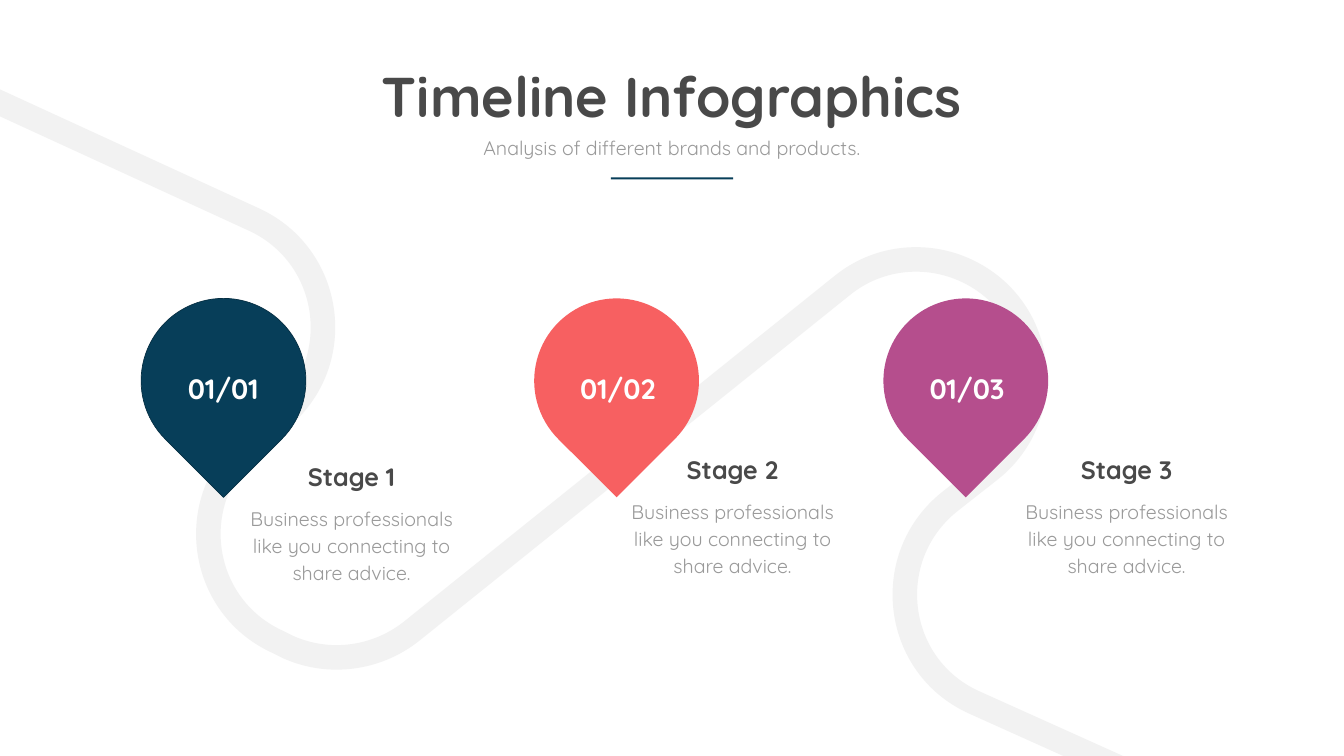
from dataclasses import dataclass
from math import cos, radians, sin

from lxml.etree import Element
from pptx import Presentation
from pptx.dml.color import RGBColor
from pptx.enum.shapes import MSO_SHAPE as Preset
from pptx.enum.text import MSO_ANCHOR as Anchor, MSO_AUTO_SIZE as AutoSize, PP_ALIGN as Align
from pptx.oxml.ns import qn
from pptx.util import Inches, Pt

FONT = "Quicksand"
NAVY, NAVY_EDGE, CORAL, PURPLE = "073E59", "052E42", "F76061", "B54E8D"
DARK, GREY, ROAD_GREY, WHITE = "494949", "999999", "F2F2F2", "FFFFFF"
PIN_TOP, PIN_SIZE, NUMBER_TOP = 5.92, 3.27, 7.33
ADVICE = "Business professionals like you connecting to share advice."

Point = tuple[float, float]


@dataclass(frozen=True)
class Stage:
    number: str
    heading: str
    fill: str
    pin_left: float
    number_left: float
    heading_left: float
    heading_top: float
    edge: str | None = None


STAGES = [
    Stage("01/03", "Stage 3", PURPLE, 17.53, 17.84, 19.91, 8.97),
    Stage("01/01", "Stage 1", NAVY, 2.8, 3.08, 4.53, 9.1, NAVY_EDGE),
    Stage("01/02", "Stage 2", CORAL, 10.6, 10.91, 12.09, 8.97),
]

# The road mixes straight runs (one point) and Bézier bends (three points).
ROAD_TILT = -7
ROAD_CENTER = (18.0, 9.33)
ROAD_START = (36.25, 16.73)
ROAD = [
    [(30.65, 13.87)],
    [(29.82, 13.44), (28.81, 13.55), (28.09, 14.14)],
    [(26.29, 15.63)],
    [(25.6, 16.2), (24.65, 16.32), (23.83, 15.96)],
    [(19.34, 13.94)],
    [(17.73, 13.22), (17.47, 11.05), (18.85, 9.95)],
    [(19.64, 9.33)],
    [(21.01, 8.25), (20.76, 6.11), (19.18, 5.37)],
    [(18.37, 4.99), (17.41, 5.1), (16.72, 5.66)],
    [(8.16, 12.53)],
    [(7.46, 13.08), (6.51, 13.2), (5.7, 12.83)],
    [(5.5, 12.73)],
    [(3.94, 12.01), (3.66, 9.92), (4.96, 8.81)],
    [(5.58, 8.28)],
    [(6.89, 7.17), (6.6, 5.08), (5.05, 4.36)],
    [(-0.24, 1.93)],
]


def color(hex_code: str) -> RGBColor:
    return RGBColor.from_string(hex_code)


def untilt(point: Point) -> tuple[int, int]:
    """Turn a point back by the road's tilt, so that its rotation restores it."""
    angle = radians(-ROAD_TILT)
    dx, dy = point[0] - ROAD_CENTER[0], point[1] - ROAD_CENTER[1]
    return (Inches(ROAD_CENTER[0] + dx * cos(angle) - dy * sin(angle)),
            Inches(ROAD_CENTER[1] + dx * sin(angle) + dy * cos(angle)))


def round_bends(road) -> None:
    """Merge the three segments of each bend into one Bézier curve."""
    segments = iter(list(road.element.iter(qn("a:lnTo"))))
    for part in ROAD:
        steps = [next(segments) for _ in part]
        if len(steps) == 3:
            curve = Element(qn("a:cubicBezTo"))
            steps[0].addprevious(curve)
            for step in steps:
                curve.append(step[0])
                step.getparent().remove(step)


def draw_road(slide) -> None:
    builder = slide.shapes.build_freeform(*untilt(ROAD_START))
    builder.add_line_segments([untilt(point) for part in ROAD for point in part], close=False)
    road = builder.convert_to_shape()
    round_bends(road)
    road.rotation = ROAD_TILT
    road.shadow.inherit = False
    road.fill.background()
    road.line.color.rgb = color(ROAD_GREY)
    road.line.width = Pt(35)


def write(frame, text: str, size: float, text_color: str, bold: bool = False,
          spacing: float | Pt | None = None) -> None:
    """Fill a text frame with one centred paragraph."""
    frame.vertical_anchor = Anchor.TOP
    paragraph = frame.paragraphs[0]
    paragraph.text = text
    paragraph.alignment = Align.CENTER
    paragraph.line_spacing = spacing
    font = paragraph.font
    font.name, font.size, font.bold = FONT, Pt(size), bold
    font.color.rgb = color(text_color)


def add_text(slide, left: float, top: float, width: float, height: float,
             text: str, size: float, text_color: str, bold: bool = False,
             spacing: float | Pt | None = None, inset: bool = True) -> None:
    frame = slide.shapes.add_textbox(*map(Inches, (left, top, width, height))).text_frame
    frame.word_wrap = True
    if inset:
        frame.auto_size = AutoSize.SHAPE_TO_FIT_TEXT
    else:
        frame.margin_left = frame.margin_top = frame.margin_right = frame.margin_bottom = 0
    write(frame, text, size, text_color, bold, spacing)


def add_solid(slide, preset: Preset, left: float, top: float, width: float,
              height: float, fill: str, edge: str | None = None):
    shape = slide.shapes.add_shape(preset, *map(Inches, (left, top, width, height)))
    shape.shadow.inherit = False
    shape.fill.solid()
    shape.fill.fore_color.rgb = color(fill)
    if edge:
        shape.line.color.rgb = color(edge)
        shape.line.width = Pt(1)
    else:
        shape.line.fill.background()
    return shape


def draw_header(slide) -> None:
    title = slide.shapes.title
    title.left, title.top, title.width, title.height = map(Inches, (7.47, 1.17, 11.72, 1.45))
    title.text_frame.word_wrap = False
    title.text_frame.auto_size = AutoSize.SHAPE_TO_FIT_TEXT
    write(title.text_frame, "Timeline Infographics", 80, DARK, bold=True)
    add_text(slide, 8.55, 2.65, 9.56, 0.57,
             "Analysis of different brands and products.", 28, GREY)
    add_solid(slide, Preset.RECTANGLE, 12.12, 3.52, 2.43, 0.04, NAVY)


def draw_stage(slide, stage: Stage) -> None:
    add_text(slide, stage.heading_left + 0.09, stage.heading_top + 0.83, 4.71, 1.72,
             ADVICE, 28, GREY, spacing=Pt(38.6))
    add_text(slide, stage.heading_left, stage.heading_top, 4.89, 0.71,
             stage.heading, 36, DARK, bold=True)
    pin = add_solid(slide, Preset.TEAR, stage.pin_left, PIN_TOP, PIN_SIZE, PIN_SIZE,
                    stage.fill, stage.edge)
    pin.rotation = 135
    add_text(slide, stage.number_left, NUMBER_TOP, 2.7, 0.82,
             stage.number, 40, WHITE, bold=True, spacing=1.05, inset=False)


def main() -> None:
    deck = Presentation()
    deck.slide_width, deck.slide_height = Inches(26.67), Inches(15)
    slide = deck.slides.add_slide(deck.slide_layouts[5])
    draw_header(slide)
    draw_road(slide)
    for stage in STAGES:
        draw_stage(slide, stage)
    deck.save("out.pptx")


if __name__ == "__main__":
    main()
